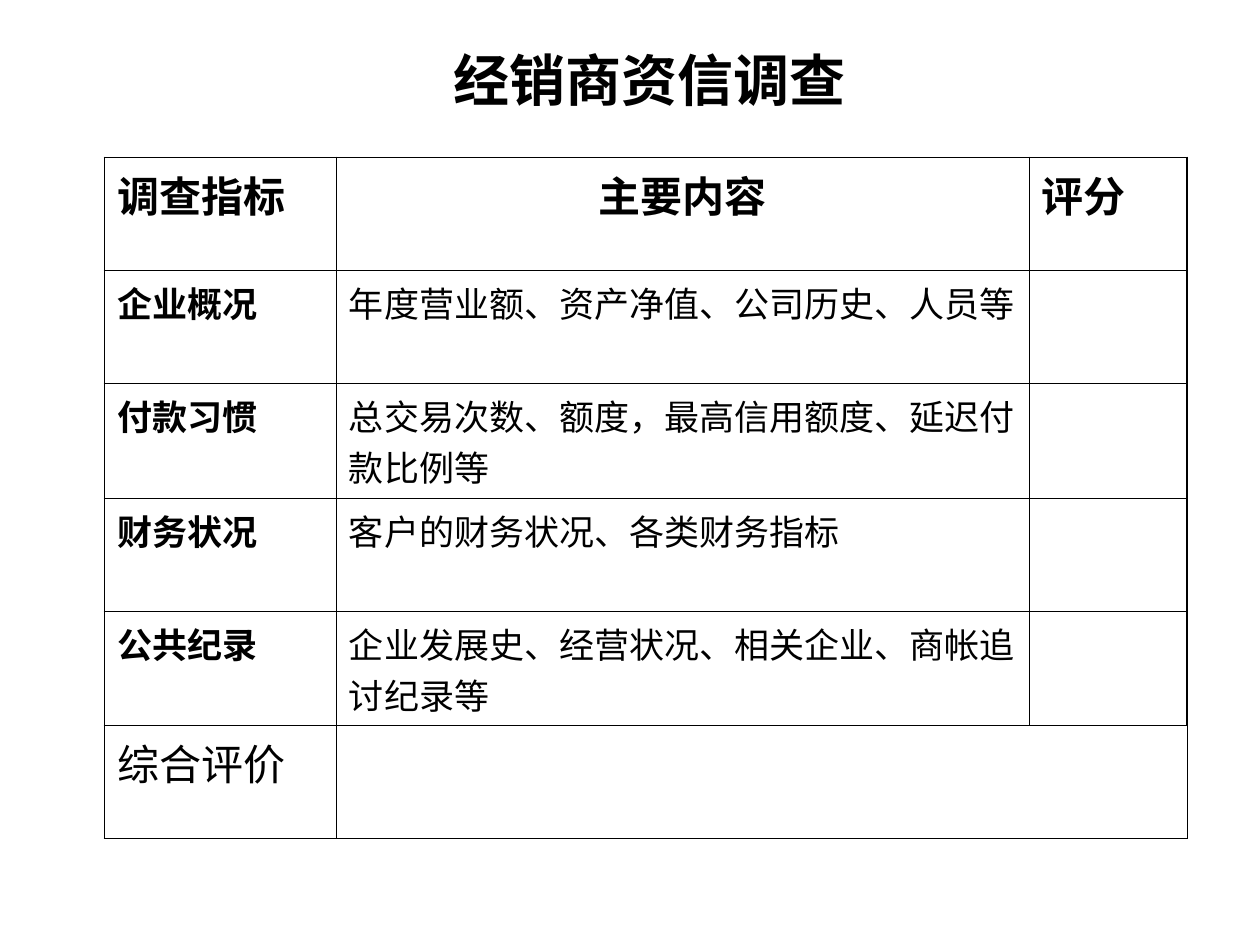
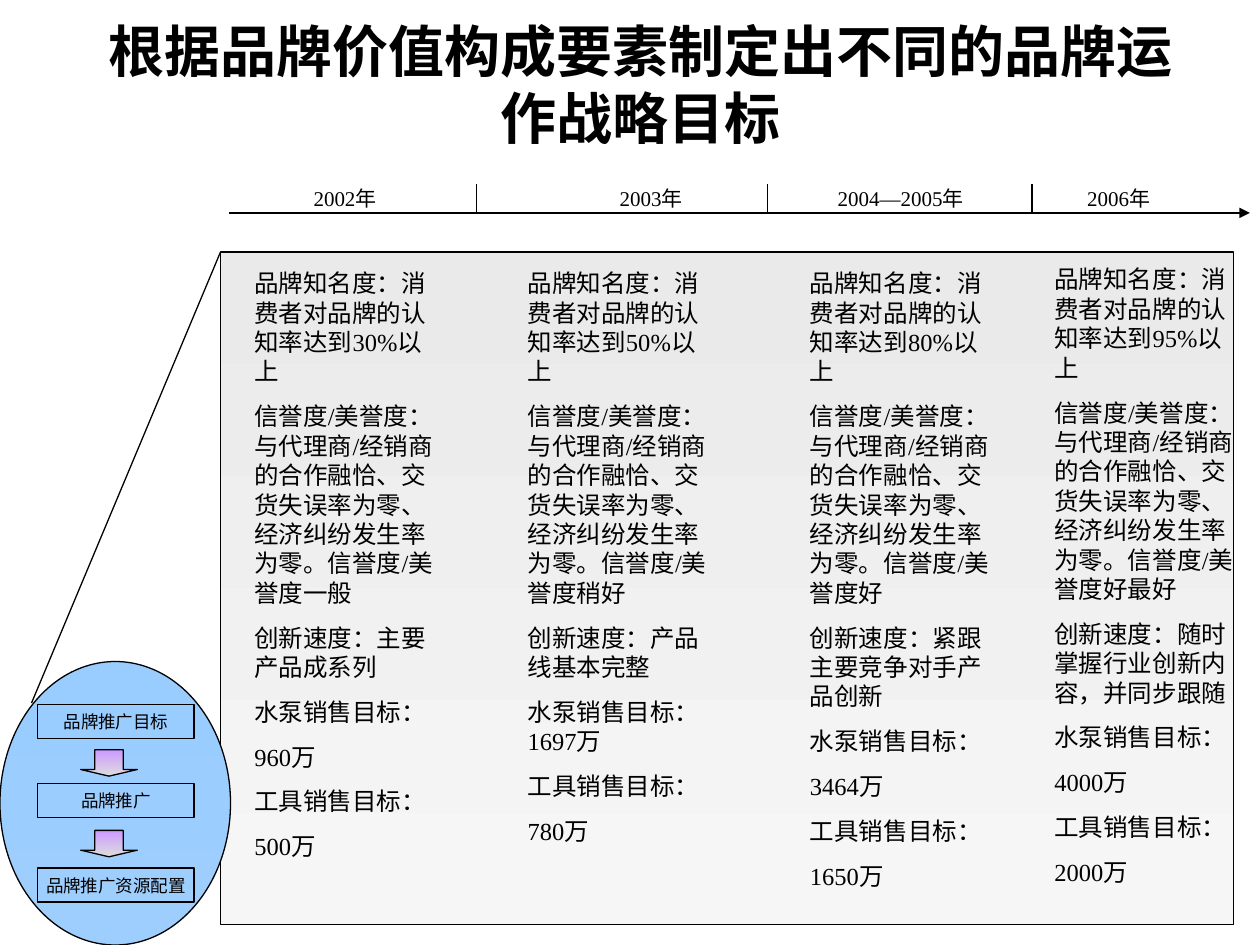
from collections import namedtuple
from dataclasses import dataclass

from lxml.etree import SubElement
from pptx import Presentation
from pptx.dml.color import RGBColor
from pptx.enum.shapes import MSO_CONNECTOR, MSO_SHAPE
from pptx.enum.text import MSO_ANCHOR, MSO_AUTO_SIZE, PP_ALIGN
from pptx.oxml.ns import qn
from pptx.util import Inches, Pt

Box = namedtuple("Box", "left top width height")


@dataclass(frozen=True)
class Theme:
    font: str = "Times New Roman"
    ink: str = "000000"
    panel: tuple = ("EAEAEA", "F6F6F6")
    oval: tuple = ("99CCFF", "9ECEFE")
    arrow: tuple = ("CC99FF", "DDDDDD")
    title: int = 32
    heading: int = 24
    entry: int = 20
    goal: int = 14
    year: int = 12
    step: int = 10
    line: float = 0.75
    thin: float = 0.45
    thick: float = 1.08
    goal_gap: float = 8.8


THEME = Theme()

HEADINGS = ["调查指标", "主要内容", "评分"]
INDICATORS = [
    ("企业概况", "年度营业额、资产净值、公司历史、人员等"),
    ("付款习惯", "总交易次数、额度，最高信用额度、延迟付款比例等"),
    ("财务状况", "客户的财务状况、各类财务指标"),
    ("公共纪录", "企业发展史、经营状况、相关企业、商帐追讨纪录等"),
]
OVERALL = "综合评价"

AWARENESS = "品牌知名度：消费者对品牌的认知率达到{}以上"
REPUTATION = ("信誉度/美誉度：与代理商/经销商的合作融恰、交货失误率为零、"
              "经济纠纷发生率为零。信誉度/美誉度{}")
INNOVATION = "创新速度：{}"
PUMPS = "水泵销售目标："
TOOLS = "工具销售目标："

Stage = namedtuple("Stage", "year year_left year_width goal_left goal_top "
                            "awareness reputation innovation sales")
STAGES = [
    Stage("2002年", 0.57, 0.95, 0.17, 0.08, "30%", "一般", "主要产品成系列",
          [PUMPS, "960万", TOOLS, "500万"]),
    Stage("2003年", 3.0, 0.95, 2.34, 0.08, "50%", "稍好", "产品线基本完整",
          [PUMPS + "1697万", TOOLS, "780万"]),
    Stage("2004—2005年", 4.73, 1.29, 4.58, 0.08, "80%", "好", "紧跟主要竞争对手产品创新",
          [PUMPS, "3464万", TOOLS, "1650万"]),
    Stage("2006年", 6.71, 0.95, 6.52, 0.05, "95%", "好最好", "随时掌握行业创新内容，并同步跟随",
          [PUMPS, "4000万", TOOLS, "2000万"]),
]
YEAR_TICKS = [(1.96, 0.23), (4.27, 0.23), (5.33, 0), (6.37, 0.23)]
STEPS = [("品牌推广目标", 0.34), ("品牌推广", 0.97), ("品牌推广资源配置", 1.64)]
ARROW_TOPS = [0.7, 1.34]


def inches(*lengths):
    return [Inches(length) for length in lengths]


def write(frame, lines, size, bold=False, align=PP_ALIGN.LEFT, gap=0):
    for index, line in enumerate(lines):
        paragraph = frame.paragraphs[0] if index == 0 else frame.add_paragraph()
        paragraph.text = line
        paragraph.alignment = align
        paragraph.space_before = Pt(gap if index else 0)
        paragraph._p.get_or_add_pPr().set("hangingPunct", "0")
        font = paragraph.runs[0].font
        for name, value in {"name": THEME.font, "size": Pt(size), "bold": bold}.items():
            setattr(font, name, value)
        font.color.rgb = RGBColor.from_string(THEME.ink)


def add_titled_slide(deck, words, box):
    slide = deck.slides.add_slide(deck.slide_layouts[5])
    title = slide.shapes.title
    for name, length in box._asdict().items():
        setattr(title, name, Inches(length))
    frame = title.text_frame
    frame.auto_size = MSO_AUTO_SIZE.NONE
    frame.vertical_anchor = MSO_ANCHOR.MIDDLE
    write(frame, [words], THEME.title, bold=True, align=PP_ALIGN.CENTER)
    return slide


def add_words(slide, box, lines, size, gap=0):
    frame = slide.shapes.add_textbox(*inches(*box)).text_frame
    frame.word_wrap = True
    write(frame, lines, size, gap=gap)


def add_outlined(slide, kind, box, gradient=None):
    shape = slide.shapes.add_shape(kind, *inches(*box))
    shape.shadow.inherit = False
    shape.line.color.rgb = RGBColor.from_string(THEME.ink)
    shape.line.width = Pt(THEME.line)
    if gradient is None:
        shape.fill.background()
        return shape
    shape.fill.gradient()
    shape.fill.gradient_angle = 270
    for stop, color in zip(shape.fill.gradient_stops, gradient):
        stop.color.rgb = RGBColor.from_string(color)
    return shape


def add_line(slide, start, end, arrow=False):
    line = slide.shapes.add_connector(MSO_CONNECTOR.STRAIGHT, *inches(*start, *end))
    line.line.color.rgb = RGBColor.from_string(THEME.ink)
    line.line.width = Pt(THEME.line)
    if arrow:
        SubElement(line.line._get_or_add_ln(), qn("a:tailEnd"), type="triangle")
    SubElement(line._element.spPr, qn("a:effectLst"))


def set_borders(cell, widths):
    properties = cell._tc.get_or_add_tcPr()
    for index, (side, width) in enumerate(widths.items()):
        border = properties.makeelement(qn(f"a:ln{side}"), {"w": str(Pt(width))})
        fill = SubElement(border, qn("a:solidFill"))
        SubElement(fill, qn("a:srgbClr"), val=THEME.ink)
        properties.insert(index, border)


def add_survey_table(slide, box, column_widths):
    rows = len(INDICATORS) + 2
    columns = len(column_widths)
    table = slide.shapes.add_table(rows, columns, *inches(*box)).table
    table.first_row = table.horz_banding = False
    for column, width in zip(table.columns, column_widths):
        column.width = Inches(width)
    for row in table.rows:
        row.height = Inches(box.height / rows)
    for r in range(rows):
        for c in range(columns):
            cell = table.cell(r, c)
            cell.fill.background()
            edges = {"L": c == 0, "R": c == columns - 1, "T": r == 0, "B": r == rows - 1}
            set_borders(cell, {side: THEME.thick if outer else THEME.thin
                               for side, outer in edges.items()})
    table.cell(rows - 1, 1).merge(table.cell(rows - 1, columns - 1))
    for c, heading in enumerate(HEADINGS):
        align = PP_ALIGN.CENTER if c == 1 else PP_ALIGN.LEFT
        write(table.cell(0, c).text_frame, [heading], THEME.heading, True, align)
    for r, (indicator, content) in enumerate(INDICATORS, 1):
        write(table.cell(r, 0).text_frame, [indicator], THEME.entry, True)
        write(table.cell(r, 1).text_frame, [content], THEME.entry)
    write(table.cell(rows - 1, 0).text_frame, [OVERALL], THEME.heading)


def add_timeline(slide, box):
    axis = box.top + box.height
    add_line(slide, (box.left, axis), (box.left + box.width, axis), arrow=True)
    for offset, height in YEAR_TICKS:
        x = box.left + offset
        add_line(slide, (x, axis - height), (x, axis))
    for stage in STAGES:
        label = Box(box.left + stage.year_left, box.top - 0.04, stage.year_width, 0.3)
        add_words(slide, label, [stage.year], THEME.year)


def add_goal_panel(slide, box):
    add_outlined(slide, MSO_SHAPE.RECTANGLE, box, THEME.panel)
    for stage in STAGES:
        goals = [AWARENESS.format(stage.awareness), REPUTATION.format(stage.reputation),
                 INNOVATION.format(stage.innovation), *stage.sales]
        column = Box(box.left + stage.goal_left, box.top + stage.goal_top, 1.64, 5.04)
        add_words(slide, column, goals, THEME.goal, THEME.goal_gap)


def add_promotion_oval(slide, box):
    add_outlined(slide, MSO_SHAPE.OVAL, box, THEME.oval)
    for words, offset in STEPS:
        place = Box(box.left + 0.3, box.top + offset, 1.24, 0.27)
        frame = add_outlined(slide, MSO_SHAPE.RECTANGLE, place).text_frame
        frame.word_wrap = False
        frame.vertical_anchor = MSO_ANCHOR.MIDDLE
        write(frame, [words], THEME.step, align=PP_ALIGN.CENTER)
    for offset in ARROW_TOPS:
        place = Box(box.left + 0.64, box.top + offset, 0.45, 0.21)
        arrow = add_outlined(slide, MSO_SHAPE.DOWN_ARROW, place, THEME.arrow)
        arrow.adjustments[0], arrow.adjustments[1] = 0.5, 0.25


def build_credit_survey(deck):
    slide = add_titled_slide(deck, "经销商资信调查 ", Box(3.42, 0.17, 3.58, 0.92))
    add_survey_table(slide, Box(0.83, 1.25, 8.59, 5.39), [1.84, 5.5, 1.25])


def build_brand_goals(deck):
    slide = add_titled_slide(deck, "根据品牌价值构成要素制定出不同的品牌运作战略目标",
                             Box(0.67, 0.33, 8.83, 0.67))
    panel = Box(1.75, 2, 8.04, 5.34)
    oval = Box(0, 5.25, 1.83, 2.25)
    add_timeline(slide, Box(1.82, 1.46, 8.1, 0.23))
    add_goal_panel(slide, panel)
    add_promotion_oval(slide, oval)
    add_line(slide, (oval.left + 0.25, oval.top + 0.33), (panel.left, panel.top))


def main():
    deck = Presentation()
    deck.slide_width, deck.slide_height = inches(10, 7.5)
    build_credit_survey(deck)
    build_brand_goals(deck)
    deck.save("out.pptx")


if __name__ == "__main__":
    main()
